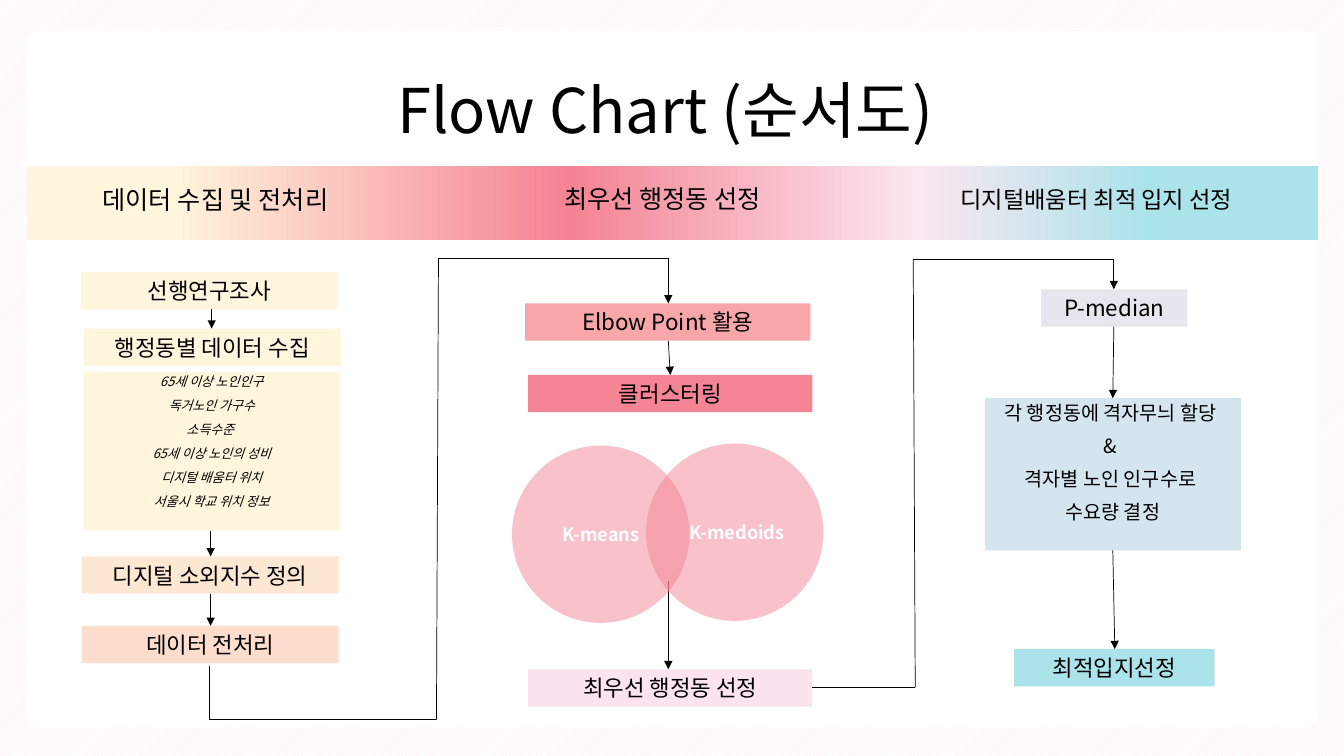
from itertools import pairwise

from lxml.etree import SubElement
from pptx import Presentation
from pptx.dml.color import RGBColor
from pptx.enum.dml import MSO_PATTERN
from pptx.enum.shapes import MSO_CONNECTOR, MSO_SHAPE as SHAPE
from pptx.enum.text import MSO_ANCHOR as ANCHOR, PP_ALIGN as ALIGN
from pptx.oxml.ns import qn
from pptx.util import Pt

# Content: lengths in px, 100 px to the inch
FONT = "Noto Sans CJK KR"
PX = 9144
TITLE = ("Flow Chart (순서도) ", (92, 40, 1150, 145))
PANEL = (27, 31, 1281, 691)
BANNER = (27, 165, 1281, 73)
BANNER_STOPS = [(11, "FFF6DD"), (42, "F58393"), (69, "FBE7F0"), (87, "ABE3EB")]
STAGES = [
    ("데이터 수집 및 전처리", (92, 181, 267, 43), 18),
    ("최우선 행정동 선정", (550, 180, 267, 43), 18),
    ("디지털배움터 최적 입지 선정", (943, 182, 332, 57), 16.6),
]
STEP_HEIGHT = 37
STEPS = [  # text, left, top, width, fill
    ("선행연구조사", 80, 270, 255, "FFF6DD"),
    ("행정동별 데이터 수집", 83, 326, 255, "FFF6DD"),
    ("디지털 소외지수 정의", 81, 552, 255, "FEE7D3"),
    ("데이터 전처리", 81, 621, 255, "FDDDCD"),
    ("Elbow Point 활용", 521, 301, 283, "F8A6AA"),
    ("클러스터링", 524, 372, 282, "F58494"),
    ("최우선 행정동 선정", 524, 664, 282, "FBE4ED"),
    ("P-median", 1033, 287, 145, "E7E6EF"),
    ("최적입지선정", 1006, 644, 199, "ABE3EB"),
]
DETAILS = [  # lines, box, fill, text format
    (["65세 이상 노인인구", "독거노인 가구수", "소득수준 ", "65세 이상 노인의 성비",
      "디지털 배움터 위치", "서울시 학교 위치 정보"],
     (83, 369, 254, 157), "FFF6DD",
     dict(size=9.2, italic=True, spacing=0.8, before=8.2)),
    (["각 행정동에 격자무늬 할당 ", "& ", "격자별 노인 인구수로 ", "수요량 결정"],
     (977, 395, 254, 151), "D5E5EE", dict(size=14, spacing=0.9, before=8.5)),
]
METHODS = [("K-means", 508, 442), (" K-medoids", 641, 440)]
METHOD_SIZE = 176
ROUTES = [  # each route ends in an arrowhead
    [(210, 307), (210, 326)],
    [(209, 527), (209, 552)],
    [(209, 589), (209, 621)],
    [(208, 661), (208, 714), (433, 714), (435, 256), (663, 256), (663, 301)],
    [(663, 338), (665, 372)],
    [(663, 576), (663, 664)],
    [(806, 682), (908, 682), (906, 257), (1105, 257), (1105, 287)],
    [(1105, 324), (1104, 395)],
    [(1104, 546), (1106, 644)],
]


def rgb(hex_color):
    return RGBColor.from_string(hex_color)


def write(holder, lines, size, color="000000", bold=False, italic=False,
          align=ALIGN.CENTER, anchor=ANCHOR.MIDDLE, spacing=1.0, before=0):
    frame = holder.text_frame
    frame.word_wrap = True
    frame.vertical_anchor = anchor
    frame.margin_left = frame.margin_right = 10 * PX
    frame.margin_top = frame.margin_bottom = 5 * PX
    for i, line in enumerate(lines):
        paragraph = frame.add_paragraph() if i else frame.paragraphs[0]
        paragraph.alignment = align
        paragraph.line_spacing = spacing
        if i:
            paragraph.space_before = Pt(before)
        run = paragraph.add_run()
        run.text = line
        font = run.font
        font.size, font.bold, font.italic = Pt(size), bold, italic
        font.name = FONT
        font.color.rgb = rgb(color)
        SubElement(font._element, qn("a:ea"), typeface=FONT)


def add_box(kind, box, fill="FFFFFF", opacity=100):
    shape = slide.shapes.add_shape(kind, *(v * PX for v in box))
    shape.shadow.inherit = False
    shape.line.fill.background()
    shape.fill.solid()
    shape.fill.fore_color.rgb = rgb(fill)
    if opacity < 100:
        color = shape.fill._xPr.find(".//" + qn("a:srgbClr"))
        SubElement(color, qn("a:alpha"), val=str(opacity * 1000))
    return shape


def add_label(box):
    return slide.shapes.add_textbox(*(v * PX for v in box))


def add_leg(start, end, arrow):
    leg = slide.shapes.add_connector(
        MSO_CONNECTOR.STRAIGHT, *(v * PX for v in start + end))
    leg.line.color.rgb = rgb("000000")
    leg.line.width = Pt(0.5)
    if arrow:
        SubElement(leg.line._get_or_add_ln(), qn("a:tailEnd"), type="triangle")
    SubElement(leg._element.spPr, qn("a:effectLst"))


prs = Presentation()
prs.slide_width, prs.slide_height = 12192000, 6858000
slide = prs.slides.add_slide(prs.slide_layouts[6])

# Striped background and white panel
backdrop = slide.background.fill
backdrop.patterned()
backdrop.pattern = MSO_PATTERN.DARK_UPWARD_DIAGONAL
backdrop.fore_color.rgb = rgb("FBE7F0")
backdrop.back_color.rgb = rgb("FFFFFF")
add_box(SHAPE.ROUNDED_RECTANGLE, PANEL).adjustments[0] = 0.02

# Gradient banner
banner = add_box(SHAPE.ROUNDED_RECTANGLE, BANNER)
banner.adjustments[0] = 0.02
banner.fill.gradient()
banner.fill.gradient_angle = 0
stops = banner.fill._xPr.find(".//" + qn("a:gsLst"))
for old_stop in list(stops):
    stops.remove(old_stop)
for position, color in BANNER_STOPS:
    stop = SubElement(stops, qn("a:gs"), pos=str(position * 1000))
    SubElement(stop, qn("a:srgbClr"), val=color)

# Title and stage headings
title, title_box = TITLE
write(add_label(title_box), [title], 44, spacing=0.9)
for stage, box, size in STAGES:
    write(add_label(box), [stage], size, align=ALIGN.LEFT,
          anchor=ANCHOR.TOP, spacing=0.9)

# Detail lists and steps
for lines, box, fill, style in DETAILS:
    write(add_box(SHAPE.RECTANGLE, box, fill), lines, anchor=ANCHOR.TOP, **style)
for step, left, top, width, fill in STEPS:
    write(add_box(SHAPE.RECTANGLE, (left, top, width, STEP_HEIGHT), fill), [step], 16)

# Arrows
for route in ROUTES:
    for start, end in pairwise(route):
        add_leg(start, end, arrow=end == route[-1])

# Overlapping methods
for method, left, top in METHODS:
    circle = add_box(SHAPE.OVAL, (left, top, METHOD_SIZE, METHOD_SIZE), "F58494", 50)
    write(circle, [method], 13, color="FFFFFF", bold=True)

prs.save("out.pptx")
